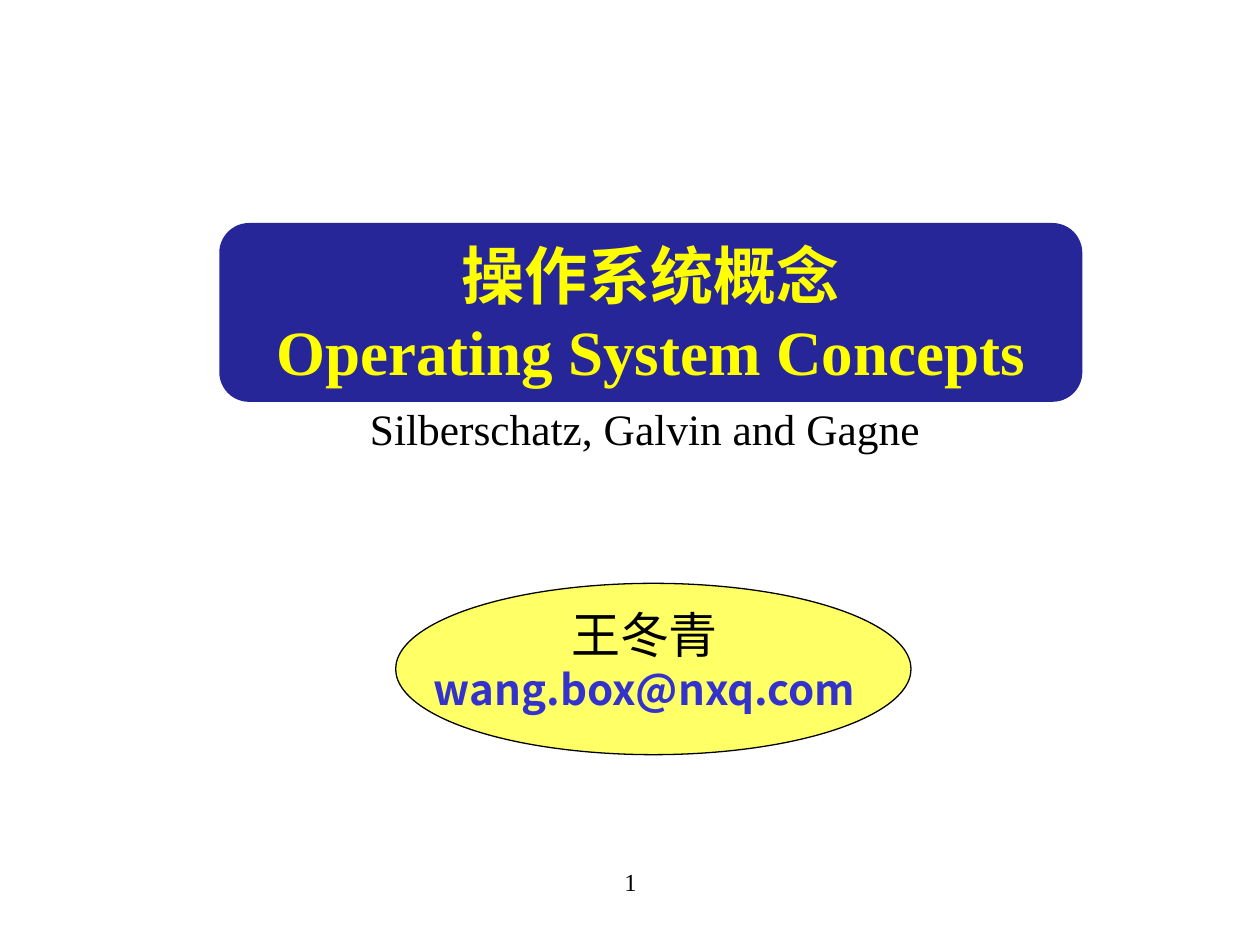
from lxml.etree import SubElement
from pptx import Presentation
from pptx.dml.color import RGBColor
from pptx.enum.shapes import MSO_SHAPE
from pptx.enum.text import MSO_ANCHOR, PP_ALIGN
from pptx.oxml.ns import qn
from pptx.util import Inches, Pt


def color(value):
    return RGBColor.from_string(value)


def write(paragraph, text, size=24, bold=False, ink="000000", latin="Times New Roman"):
    paragraph.text = text
    paragraph.alignment = PP_ALIGN.CENTER
    for run in paragraph.runs:
        run.font.size = Pt(size)
        run.font.bold = bold
        run.font.color.rgb = color(ink)
        run.font.name = latin
        SubElement(run.font._element, qn("a:ea"), typeface=CoverSlide.CJK)


class CoverSlide:
    WIDTH, HEIGHT = Inches(10), Inches(7.5)
    CJK = "Noto Sans CJK SC"
    NAVY, YELLOW, LEMON, BLUE = "262699", "FFFF00", "FFFF66", "3333CC"

    def __init__(self, deck):
        deck.slide_width, deck.slide_height = self.WIDTH, self.HEIGHT
        self.slide = deck.slides.add_slide(deck.slide_layouts[6])

    def place(self, left, top, width, height):
        return (
            round(left / 100 * self.WIDTH),
            round(top / 100 * self.HEIGHT),
            round(width / 100 * self.WIDTH),
            round(height / 100 * self.HEIGHT),
        )

    def panel(self, kind, area, fill, outline=None):
        panel = self.slide.shapes.add_shape(kind, *self.place(*area))
        panel.shadow.inherit = False
        panel.fill.solid()
        panel.fill.fore_color.rgb = color(fill)
        if outline:
            panel.line.color.rgb = color(outline)
            panel.line.width = Pt(0.75)
        else:
            panel.line.fill.background()
        return panel

    def label(self, area, *lines, anchor=MSO_ANCHOR.TOP, inset=0.05):
        frame = self.slide.shapes.add_textbox(*self.place(*area)).text_frame
        frame.word_wrap = True
        frame.vertical_anchor = anchor
        frame.margin_top = Inches(inset)
        for index, (text, style) in enumerate(lines):
            paragraph = frame.add_paragraph() if index else frame.paragraphs[0]
            write(paragraph, text, **style)


def main():
    deck = Presentation()
    cover = CoverSlide(deck)

    cover.label((34.2, 91.07, 31.7, 6.67), ("1", dict(size=14)))

    title = cover.panel(MSO_SHAPE.ROUNDED_RECTANGLE, (17.4, 23.6, 68.5, 18.93), cover.NAVY)
    title.text_frame.vertical_anchor = MSO_ANCHOR.MIDDLE
    write(
        title.text_frame.paragraphs[0],
        "操作系统概念\vOperating System Concepts",
        size=36, bold=True, ink=cover.YELLOW,
    )

    cover.panel(MSO_SHAPE.OVAL, (31.4, 61.73, 40.9, 18.13), cover.LEMON, "000000")
    cover.label(
        (30.2, 63.33, 41.9, 12.93),
        ("王冬青", dict(size=28)),
        ("wang.box@nxq.com", dict(bold=True, ink=cover.BLUE, latin=cover.CJK)),
        anchor=MSO_ANCHOR.MIDDLE,
    )
    cover.label(
        (17.8, 41.2, 66.8, 7.07),
        ("Silberschatz, Galvin and Gagne", dict(size=24.8)),
        inset=0.1,
    )

    deck.save("out.pptx")


if __name__ == "__main__":
    main()
